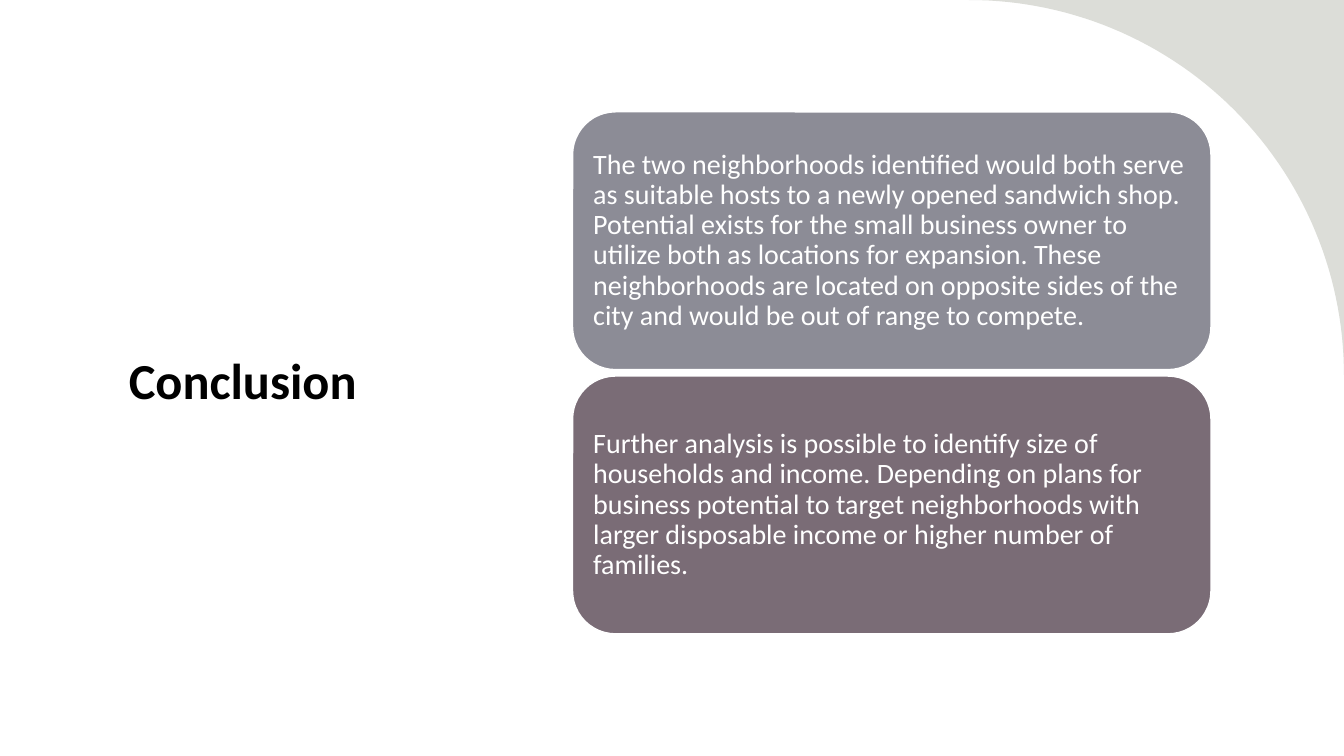
import math
from dataclasses import dataclass

import pptx
import pptx.util
import pptx.dml.color
import pptx.enum.shapes
import pptx.enum.text


@dataclass(frozen=True)
class Theme:
    font: str = "Calibri"
    head: int = 36
    body: int = 20
    edge: int = 1
    ink: str = "000000"
    paper: str = "FFFFFF"
    corner: str = "DCDDD8"
    cards: tuple = ("8C8C96", "7A6C76")


def tint(code):
    return pptx.dml.color.RGBColor.from_string(code)


class Board:
    def __init__(self, deck, theme):
        self.theme = theme
        self.wide, self.high = deck.slide_width, deck.slide_height
        self.slide = deck.slides.add_slide(deck.slide_layouts[6])
        self.shapes = self.slide.shapes
        self.slide.background.fill.solid()
        self.slide.background.fill.fore_color.rgb = tint(theme.paper)

    def spot(self, x, y):
        return round(self.wide * x / 100), round(self.high * y / 100)

    def box(self, x, y, w, h):
        return *self.spot(x, y), *self.spot(w, h)

    def paint(self, shape, color):
        shape.shadow.inherit = False
        shape.fill.solid()
        shape.fill.fore_color.rgb = tint(color)

    def label(self, shape, text, size, color, anchor, lead, bold=False):
        frame = shape.text_frame
        frame.word_wrap = True
        frame.vertical_anchor = anchor
        para = frame.paragraphs[0]
        para.alignment = pptx.enum.text.PP_ALIGN.LEFT
        para.line_spacing = lead
        run = para.add_run()
        run.text = text
        run.font.name = self.theme.font
        run.font.size = pptx.util.Pt(size)
        run.font.bold = bold
        run.font.color.rgb = tint(color)
        return frame

    def corner(self, left, low, steps=60):
        arc = []
        for step in range(steps + 1):
            turn = math.pi / 2 * step / steps
            arc.append(self.spot(left + (100 - left) * math.sin(turn),
                                 low * (1 - math.cos(turn))))
        pen = self.shapes.build_freeform(*arc[0])
        pen.add_line_segments(arc[1:] + [self.spot(100, 0)], close=True)
        shape = pen.convert_to_shape()
        self.paint(shape, self.theme.corner)
        shape.line.fill.background()

    def title(self, text, *area):
        shape = self.shapes.add_textbox(*self.box(*area))
        self.label(shape, text, self.theme.head, self.theme.ink,
                   pptx.enum.text.MSO_ANCHOR.BOTTOM, 1.1, True)

    def card(self, text, color, *area):
        kind = pptx.enum.shapes.MSO_SHAPE.ROUNDED_RECTANGLE
        shape = self.shapes.add_shape(kind, *self.box(*area))
        self.paint(shape, color)
        shape.line.color.rgb = tint(self.theme.paper)
        shape.line.width = pptx.util.Pt(self.theme.edge)
        frame = self.label(shape, text, self.theme.body, self.theme.paper,
                           pptx.enum.text.MSO_ANCHOR.MIDDLE, 0.9)
        pad = round(self.wide * 0.6 / 100)
        frame.margin_left = frame.margin_right = pad
        frame.margin_top = frame.margin_bottom = pad


NOTES = (
    "The two neighborhoods identified would both serve as suitable hosts to "
    "a newly opened sandwich shop. Potential exists for the small business "
    "owner to utilize both as locations for expansion. These neighborhoods "
    "are located on opposite sides of the city and would be out of range "
    "to compete.",
    "Further analysis is possible to identify size of households and income. "
    "Depending on plans for business potential to target neighborhoods with "
    "larger disposable income or higher number of families.",
)

deck = pptx.Presentation()
deck.slide_width = pptx.util.Inches(13.33)
deck.slide_height = pptx.util.Inches(7.5)
theme = Theme()
board = Board(deck, theme)

board.corner(72.1, 49.6)
board.title("Conclusion", 8.85, 23.33, 26.8, 31.47)
top, tall, gap = 14.8, 34.1, 0.85
for row, (note, color) in enumerate(zip(NOTES, theme.cards)):
    board.card(note, color, 42.6, top + row * (tall + gap), 47.5, tall)

deck.save("out.pptx")
